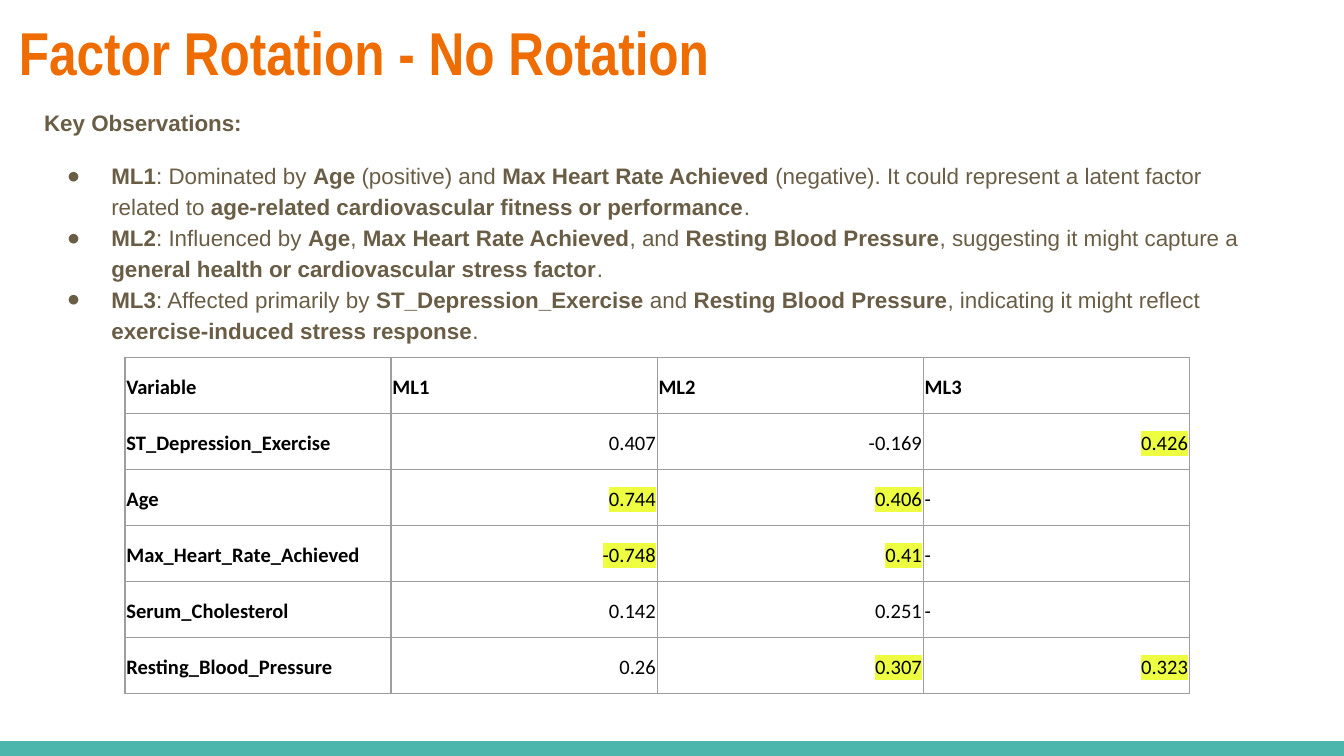
from lxml.etree import SubElement
from pptx import Presentation
from pptx.dml.color import RGBColor
from pptx.enum.shapes import MSO_SHAPE
from pptx.enum.text import MSO_ANCHOR, MSO_AUTO_SIZE, PP_ALIGN
from pptx.oxml import parse_xml
from pptx.oxml.ns import nsdecls, qn
from pptx.util import Inches, Pt

ORANGE = RGBColor(0xEF, 0x6C, 0x00)
BROWN = RGBColor(0x69, 0x5D, 0x46)
TEAL = RGBColor(0x4D, 0xB6, 0xAC)
BLACK = RGBColor(0x00, 0x00, 0x00)
GRAY = RGBColor(0x9E, 0x9E, 0x9E)
YELLOW = RGBColor(0xEE, 0xFF, 0x41)

# Double asterisks surround bold words.
OBSERVATIONS = [
    "**ML1**: Dominated by **Age** (positive) and **Max Heart Rate Achieved** (negative). "
    "It could represent a latent factor related to "
    "**age-related cardiovascular fitness or performance**.",
    "**ML2**: Influenced by **Age**, **Max Heart Rate Achieved**, and "
    "**Resting Blood Pressure**, suggesting it might capture a "
    "**general health or cardiovascular stress factor**.",
    "**ML3**: Affected primarily by **ST_Depression_Exercise** and "
    "**Resting Blood Pressure**, indicating it might reflect "
    "**exercise-induced stress response**.",
]

# A trailing asterisk marks a highlighted loading.
LOADINGS = [
    ["Variable", "ML1", "ML2", "ML3"],
    ["ST_Depression_Exercise", "0.407", "-0.169", "0.426*"],
    ["Age", "0.744*", "0.406*", "-"],
    ["Max_Heart_Rate_Achieved", "-0.748*", "0.41*", "-"],
    ["Serum_Cholesterol", "0.142", "0.251", "-"],
    ["Resting_Blood_Pressure", "0.26", "0.307*", "0.323*"],
]


def style_font(font, name, size, color, bold):
    font.name = name
    font.size = Pt(size)
    font.color.rgb = color
    font.bold = bold


def add_footer_band(page, deck):
    height = Inches(0.11)
    band = page.shapes.add_shape(
        MSO_SHAPE.RECTANGLE, 0, deck.slide_height - height, deck.slide_width, height)
    band.shadow.inherit = False
    band.fill.solid()
    band.fill.fore_color.rgb = TEAL
    band.line.fill.background()


def set_margins(frame, margin):
    frame.margin_left = frame.margin_right = margin
    frame.margin_top = frame.margin_bottom = margin


def set_title(page, text):
    title = page.shapes.title
    title.left, title.top = Inches(0.04), Inches(0)
    title.width, title.height = Inches(9.32), Inches(0.77)
    frame = title.text_frame
    frame.text = text
    frame.auto_size = MSO_AUTO_SIZE.NONE
    frame.vertical_anchor = MSO_ANCHOR.MIDDLE
    set_margins(frame, Inches(0.1))
    paragraph = frame.paragraphs[0]
    paragraph.alignment = PP_ALIGN.LEFT
    style_font(paragraph.runs[0].font, "Arial Narrow", 32.4, ORANGE, True)


def add_bullet(paragraph):
    properties = paragraph._p.get_or_add_pPr()
    properties.set("marL", str(Inches(0.5)))
    properties.set("indent", str(Inches(-0.33)))
    bullet_color = SubElement(properties, qn("a:buClr"))
    SubElement(bullet_color, qn("a:srgbClr"), val=str(BROWN))
    SubElement(properties, qn("a:buFont"), typeface="Arial")
    SubElement(properties, qn("a:buChar"), char="●")


def write_marked_text(paragraph, text):
    """Add runs, switching bold at each double asterisk."""
    paragraph.line_spacing = 1.15
    for index, part in enumerate(text.split("**")):
        if part:
            span = paragraph.add_run()
            span.text = part
            style_font(span.font, "Arial", 12, BROWN, index % 2 == 1)


def add_observations(page):
    box = page.shapes.add_textbox(Inches(0.23), Inches(0.68), Inches(9.32), Inches(4.95))
    frame = box.text_frame
    frame.word_wrap = True
    set_margins(frame, Inches(0.1))
    write_marked_text(frame.paragraphs[0], "**Key Observations:**")
    for index, text in enumerate(OBSERVATIONS):
        paragraph = frame.add_paragraph()
        add_bullet(paragraph)
        paragraph.space_before = Pt(12 if index == 0 else 0)
        write_marked_text(paragraph, text)


def add_borders(cell):
    properties = cell._tc.get_or_add_tcPr()
    for side in ("lnL", "lnR", "lnT", "lnB"):
        line = SubElement(properties, qn(f"a:{side}"), w=str(Pt(0.75)))
        fill = SubElement(line, qn("a:solidFill"))
        SubElement(fill, qn("a:srgbClr"), val=str(GRAY))


def highlight(span):
    """Mark a run whose colour is already set."""
    marker = parse_xml(
        f'<a:highlight {nsdecls("a")}><a:srgbClr val="{YELLOW}"/></a:highlight>')
    span._r.get_or_add_rPr().find(qn("a:solidFill")).addnext(marker)


def fill_cell(cell, text, is_header):
    add_borders(cell)
    cell.fill.background()
    cell.vertical_anchor = MSO_ANCHOR.BOTTOM
    cell.margin_left = cell.margin_right = cell.margin_top = Inches(0.01)
    cell.margin_bottom = Inches(0.1)
    cell.text_frame.text = text.rstrip("*")
    paragraph = cell.text_frame.paragraphs[0]
    if not is_header and text != "-":
        paragraph.alignment = PP_ALIGN.RIGHT
        paragraph.line_spacing = 1.15
    span = paragraph.runs[0]
    style_font(span.font, "Calibri", 11, BLACK, is_header)
    if text.endswith("*"):
        highlight(span)


def add_loadings_table(page):
    rows, columns = len(LOADINGS), len(LOADINGS[0])
    table = page.shapes.add_table(
        rows, columns, Inches(0.93), Inches(2.66), Inches(7.92), Inches(2.5)).table
    table.first_row = table.horz_banding = False
    for row, values in enumerate(LOADINGS):
        for column, text in enumerate(values):
            fill_cell(table.cell(row, column), text, row == 0 or column == 0)


def main():
    deck = Presentation()
    deck.slide_width = Inches(10)
    deck.slide_height = deck.slide_width * 9 // 16
    page = deck.slides.add_slide(deck.slide_layouts[5])
    add_footer_band(page, deck)
    set_title(page, "Factor Rotation - No Rotation")
    add_observations(page)
    add_loadings_table(page)
    deck.save("out.pptx")


if __name__ == "__main__":
    main()
